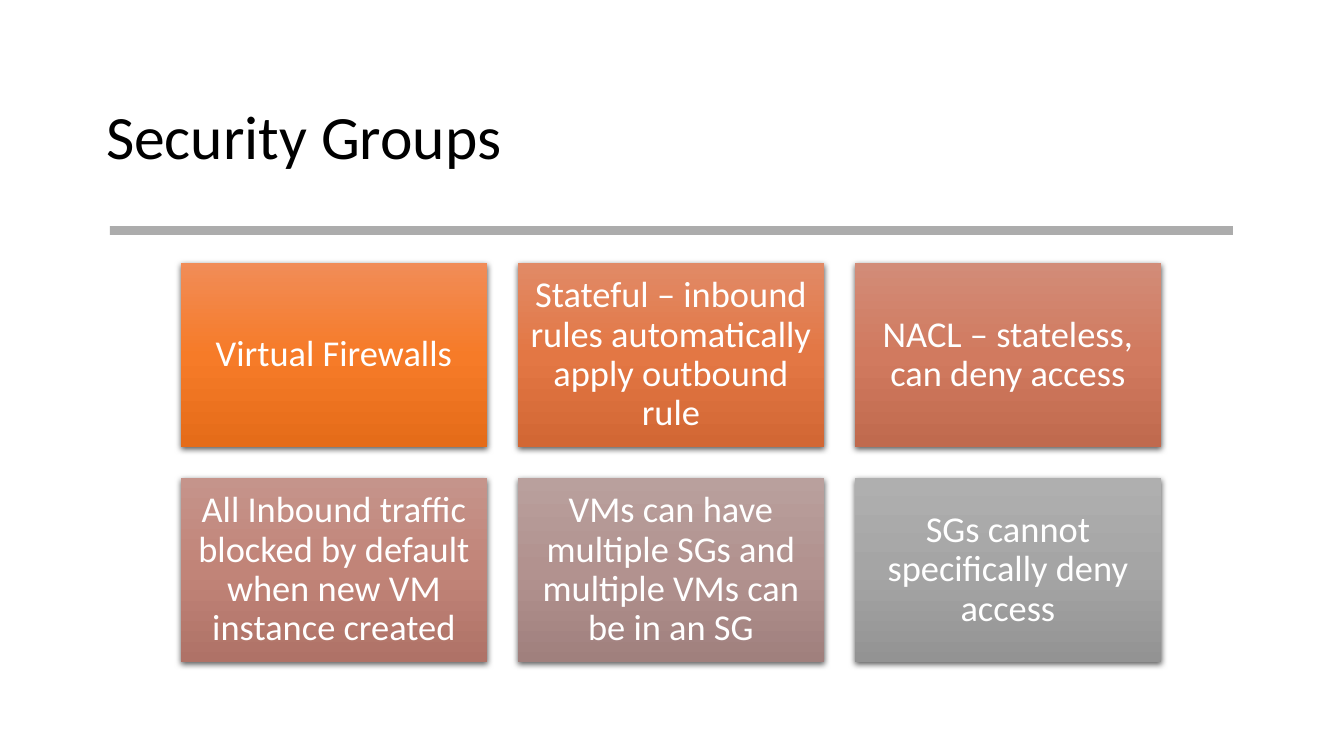
from copy import deepcopy

from lxml.etree import SubElement
from pptx import Presentation
from pptx.dml.color import RGBColor
from pptx.enum.shapes import MSO_SHAPE
from pptx.enum.text import MSO_ANCHOR, MSO_AUTO_SIZE, PP_ALIGN
from pptx.oxml.ns import qn
from pptx.util import Emu, Pt

EMU_PER_PIXEL = 914400 / 100.8
FONT = "Calibri"
COLUMNS, GAP, CARD_INSET = 3, 31, 11
CARDS = [
    ("Virtual Firewalls", ("F18C57", "F67B28", "E56C19")),
    ("Stateful – inbound rules automatically apply outbound rule", ("E18A66", "E37744", "D26734")),
    ("NACL – stateless, can deny access", ("D28C78", "D17A5F", "C06A4E")),
    ("All Inbound traffic blocked by default when new VM instance created",
     ("C5948B", "C18478", "AF7267")),
    ("VMs can have multiple SGs and multiple VMs can be in an SG", ("B9A09D", "B2928F", "A0807D")),
    ("SGs cannot specifically deny access", ("AFAFAF", "A5A5A5", "939393")),
]


def px(length):
    """Turn pixels into EMU."""
    return Emu(round(length * EMU_PER_PIXEL))


def colour(code):
    """Turn a hex string into a colour."""
    return RGBColor.from_string(code)


def write(frame, text, size, code, align):
    """Set one centred-in-height paragraph of text in a frame."""
    frame.text = text
    frame.word_wrap = True
    frame.auto_size = MSO_AUTO_SIZE.NONE
    frame.vertical_anchor = MSO_ANCHOR.MIDDLE
    para = frame.paragraphs[0]
    para.alignment, para.line_spacing = align, 0.9
    for span in para.runs:
        span.font.name, span.font.size = FONT, Pt(size)
        span.font.color.rgb = colour(code)


def add_rectangle(page, box):
    """Add a rectangle without line or shadow."""
    shape = page.shapes.add_shape(MSO_SHAPE.RECTANGLE, *map(px, box))
    shape.line.fill.background()
    shape.shadow.inherit = False
    return shape


def fill_gradient(shape, codes):
    """Fill a shape from top to bottom with three evenly spaced colours."""
    shape.fill.gradient()
    shape.fill.gradient_angle = 270
    stop_list = next(shape.element.spPr.iter(qn("a:gsLst")))
    middle = deepcopy(stop_list[0])
    middle.set("pos", "50000")
    stop_list.insert(1, middle)
    for stop, code in zip(shape.fill.gradient_stops, codes):
        stop.color.rgb = colour(code)


def drop_shadow(shape):
    """Give a shape a soft black shadow just below it."""
    effects = shape.element.spPr.find(qn("a:effectLst"))
    shadow = SubElement(effects, qn("a:outerShdw"), blurRad=str(Pt(4.5)), dist=str(Pt(1.5)),
                        dir="5400000", algn="ctr", rotWithShape="0")
    black = SubElement(shadow, qn("a:srgbClr"), val="000000")
    SubElement(black, qn("a:alpha"), val="63000")


def add_heading(page, box):
    """Place the slide title in its box."""
    title = page.shapes.title
    title.left, title.top, title.width, title.height = map(px, box)
    write(title.text_frame, "Security Groups", 44, "000000", PP_ALIGN.LEFT)


def add_divider(page, box):
    """Draw the translucent grey bar under the title."""
    bar = add_rectangle(page, box)
    bar.fill.solid()
    bar.fill.fore_color.rgb = colour("808080")
    grey = next(bar.element.spPr.iter(qn("a:srgbClr")))
    SubElement(grey, qn("a:alpha"), val="65000")


def add_card(page, box, text, codes):
    """Draw one gradient card with its text."""
    card = add_rectangle(page, box)
    fill_gradient(card, codes)
    drop_shadow(card)
    frame = card.text_frame
    frame.margin_left = frame.margin_right = px(CARD_INSET)
    frame.margin_top = frame.margin_bottom = px(CARD_INSET)
    write(frame, text, 26, "FFFFFF", PP_ALIGN.CENTER)


def add_card_grid(page, box):
    """Share the box among the cards, row by row."""
    left, top, width, height = box
    rows = len(CARDS) // COLUMNS
    card_width = (width - GAP * (COLUMNS - 1)) // COLUMNS
    card_height = (height - GAP * (rows - 1)) // rows
    for index, (text, codes) in enumerate(CARDS):
        row, column = divmod(index, COLUMNS)
        add_card(page, (left + column * (card_width + GAP), top + row * (card_height + GAP),
                        card_width, card_height), text, codes)


def main():
    """Build the slide and save the deck."""
    deck = Presentation()
    deck.slide_width, deck.slide_height = px(1344), px(756)
    page = deck.slides.add_slide(deck.slide_layouts.get_by_name("Title Only"))
    add_heading(page, (96, 67, 1152, 146))
    add_divider(page, (110, 226, 1123, 9))
    add_card_grid(page, (181, 263, 980, 399))
    deck.save("out.pptx")


main()
